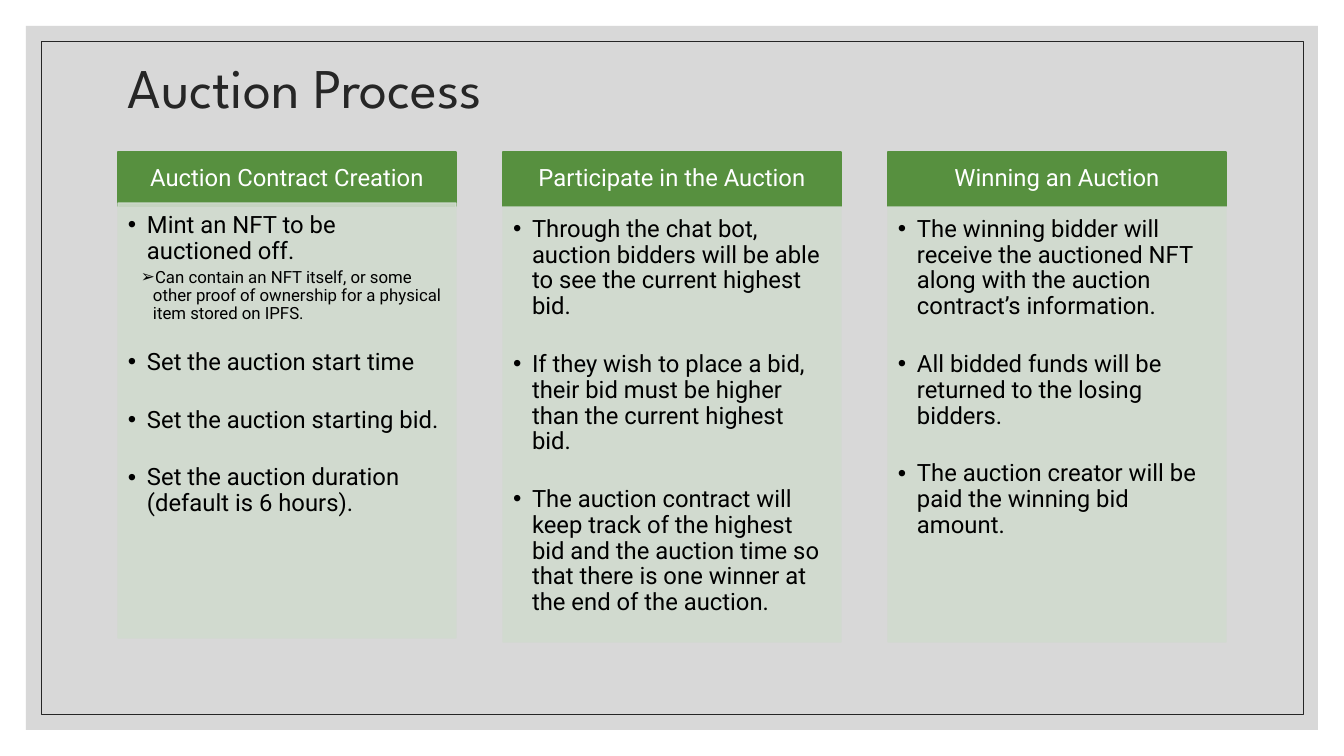
from lxml import etree
from pptx import Presentation
from pptx.dml.color import RGBColor
from pptx.enum.shapes import MSO_SHAPE
from pptx.enum.text import MSO_ANCHOR, MSO_AUTO_SIZE, PP_ALIGN
from pptx.oxml.ns import qn
from pptx.util import Emu, Pt

RECTANGLE = MSO_SHAPE.RECTANGLE
LEFT, CENTER = PP_ALIGN.LEFT, PP_ALIGN.CENTER
TOP, MIDDLE = MSO_ANCHOR.TOP, MSO_ANCHOR.MIDDLE
NO_AUTOFIT = MSO_AUTO_SIZE.NONE

EMU_PER_PX = 914400 / 100.8
COMPARISON_LAYOUT = 4
LIST_PLACEHOLDERS = (2, 3, 4)
UNUSED_PLACEHOLDER = 1
HEADING_FONT, BODY_FONT = "League Spartan", "Roboto"
DARK, GREEN, PALE_GREEN, GRAY = "262626", "57903F", "D1DBCF", "BFBFBF"

# Column heading, top of its list, and list items as (level, text, space after)
COLUMNS = [
    ("Auction Contract Creation", 203, [
        (0, "Mint an NFT to be auctioned off.", 3),
        (1, "Can contain an NFT itself, or some other proof of ownership "
            "for a physical item stored on IPFS.", 19),
        (0, "Set the auction start time", 23),
        (0, "Set the auction starting bid.", 23),
        (0, "Set the auction duration (default is 6 hours).", 0),
    ]),
    ("Participate in the Auction", 207, [
        (0, "Through the chat bot, auction bidders will be able to see "
            "the current highest bid.", 23),
        (0, "If they wish to place a bid, their bid must be higher than "
            "the current highest bid.", 23),
        (0, "The auction contract will keep track of the highest bid and the "
            "auction time so that there is one winner at the end of the auction.", 0),
    ]),
    ("Winning an Auction", 207, [
        (0, "The winning bidder will receive the auctioned NFT along with "
            "the auction contract’s information.", 23),
        (0, "All bidded funds will be returned to the losing bidders.", 23),
        (0, "The auction creator will be paid the winning bid amount.", 0),
    ]),
]
# Per level: bullet, font size in points, left margin and hanging indent in px
LEVELS = [("•", 17, 19, 19), ("➢", 12, 25, 12)]


def px(length):
    return Emu(round(length * EMU_PER_PX))


def color(hex_code):
    return RGBColor.from_string(hex_code)


def place(shape, box):
    """Move a shape to its box and to the front."""
    shape.left, shape.top, shape.width, shape.height = map(px, box)
    shape.element.getparent().append(shape.element)


def paint(shape, fill=None, line=None, line_width=1, opacity=100):
    if fill:
        shape.fill.solid()
        shape.fill.fore_color.rgb = color(fill)
    else:
        shape.fill.background()
    if line:
        shape.line.color.rgb = color(line)
        shape.line.width = Pt(line_width)
    else:
        shape.line.fill.background()
    if opacity < 100:
        for tint in shape.element.spPr.iter(qn("a:srgbClr")):
            etree.SubElement(tint, qn("a:alpha"), val=str(opacity * 1000))


def add_rectangle(slide, box, **paint_format):
    shape = slide.shapes.add_shape(RECTANGLE, *map(px, box))
    shape.shadow.inherit = False
    paint(shape, **paint_format)
    return shape


def set_frame(shape, anchor, insets):
    frame = shape.text_frame
    frame.word_wrap = True
    frame.auto_size = NO_AUTOFIT
    frame.vertical_anchor = anchor
    (frame.margin_left, frame.margin_top,
     frame.margin_right, frame.margin_bottom) = map(px, insets)
    return frame


def write(paragraph, text, size, font=BODY_FONT, hex_code="000000",
          align=LEFT, space_after=0):
    paragraph.alignment = align
    paragraph.line_spacing = 0.9
    paragraph.space_before = Pt(0)
    paragraph.space_after = Pt(space_after)
    run = paragraph.add_run()
    run.text = text
    run.font.name = font
    run.font.size = Pt(size)
    run.font.bold = False
    run.font.color.rgb = color(hex_code)


def set_bullet(paragraph, bullet, margin, hanging):
    properties = paragraph._p.get_or_add_pPr()
    properties.set("marL", str(px(margin)))
    properties.set("indent", str(px(-hanging)))
    etree.SubElement(properties, qn("a:buFont"), typeface="Arial")
    etree.SubElement(properties, qn("a:buChar"), char=bullet)


def add_backdrop(slide, box):
    left, top, width, height = box
    add_rectangle(slide, box, fill=GRAY, opacity=60)
    add_rectangle(slide, (left + 15, top + 15, width - 30, height - 31),
                  line=DARK, line_width=0.5)


def add_title(slide, box):
    title = slide.shapes.title
    place(title, box)
    frame = set_frame(title, MIDDLE, (10, 5, 10, 5))
    write(frame.paragraphs[0], "Auction Process", 40,
          font=HEADING_FONT, hex_code=DARK)


def add_column(slide, placeholder, box, heading, list_top, items):
    left, top, width, list_height = box
    # Heading bar
    bar = add_rectangle(slide, (left, top, width, 54), fill=GREEN, line=GREEN)
    frame = set_frame(bar, MIDDLE, (13, 8, 13, 8))
    write(frame.paragraphs[0], heading, 17, hex_code="FFFFFF", align=CENTER)
    # List panel
    place(placeholder, (left, list_top, width, list_height))
    paint(placeholder, fill=PALE_GREEN, line=PALE_GREEN, opacity=90)
    frame = set_frame(placeholder, TOP, (10, 10, 13, 15))
    for index, (level, text, space_after) in enumerate(items):
        paragraph = frame.add_paragraph() if index else frame.paragraphs[0]
        paragraph.level = level
        bullet, size, margin, hanging = LEVELS[level]
        write(paragraph, text, size, space_after=space_after)
        set_bullet(paragraph, bullet, margin, hanging)


def main():
    presentation = Presentation()
    presentation.slide_width, presentation.slide_height = px(1344), px(756)
    layout = presentation.slide_layouts[COMPARISON_LAYOUT]
    slide = presentation.slides.add_slide(layout)
    placeholders = {p.placeholder_format.idx: p for p in slide.placeholders}
    unused = placeholders[UNUSED_PLACEHOLDER].element
    unused.getparent().remove(unused)

    add_backdrop(slide, (26, 26, 1292, 704))
    add_title(slide, (118, 15, 1109, 151))
    for index, column in enumerate(COLUMNS):
        placeholder = placeholders[LIST_PLACEHOLDERS[index]]
        add_column(slide, placeholder, (118 + 385 * index, 152, 338, 435), *column)
    presentation.save("out.pptx")


if __name__ == "__main__":
    main()
